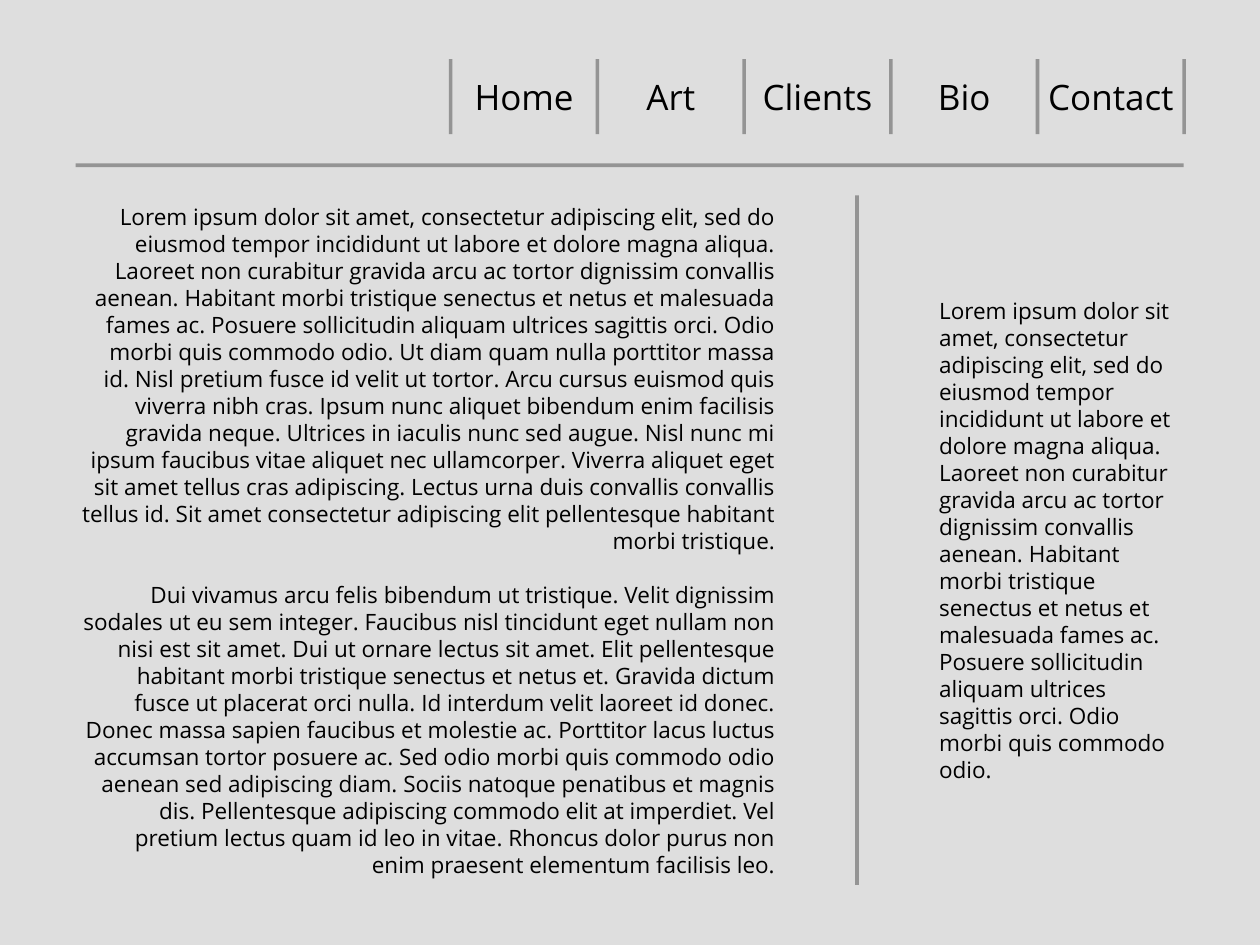
from dataclasses import dataclass

from pptx import Presentation
from pptx.dml.color import RGBColor
from pptx.enum.shapes import MSO_SHAPE
from pptx.enum.text import MSO_ANCHOR, PP_ALIGN
from pptx.util import Pt

RECTANGLE = MSO_SHAPE.RECTANGLE
MIDDLE = MSO_ANCHOR.MIDDLE
LEFT, CENTER, RIGHT = PP_ALIGN.LEFT, PP_ALIGN.CENTER, PP_ALIGN.RIGHT


@dataclass(frozen=True)
class Theme:
    background: RGBColor = RGBColor(0xDE, 0xDE, 0xDE)
    rule: RGBColor = RGBColor(0x94, 0x94, 0x94)
    text: RGBColor = RGBColor(0, 0, 0)
    font: str = "Open Sans"
    menu_size: float = 28
    body_size: float = 18
    body_leading: float = 21.6


theme = Theme()

OPENING = (
    "Lorem ipsum dolor sit amet, consectetur adipiscing elit, sed do eiusmod tempor "
    "incididunt ut labore et dolore magna aliqua. Laoreet non curabitur gravida arcu ac "
    "tortor dignissim convallis aenean. Habitant morbi tristique senectus et netus et "
    "malesuada fames ac. Posuere sollicitudin aliquam ultrices sagittis orci. "
    "Odio morbi quis commodo odio."
)
CONTINUATION = (
    " Ut diam quam nulla porttitor massa id. Nisl pretium fusce id velit ut tortor. Arcu "
    "cursus euismod quis viverra nibh cras. Ipsum nunc aliquet bibendum enim facilisis "
    "gravida neque. Ultrices in iaculis nunc sed augue. Nisl nunc mi ipsum faucibus vitae "
    "aliquet nec ullamcorper. Viverra aliquet eget sit amet tellus cras adipiscing. Lectus "
    "urna duis convallis convallis tellus id. Sit amet consectetur adipiscing elit "
    "pellentesque habitant morbi tristique."
)
SECOND_PARAGRAPH = (
    "Dui vivamus arcu felis bibendum ut tristique. Velit dignissim sodales ut eu sem "
    "integer. Faucibus nisl tincidunt eget nullam non nisi est sit amet. Dui ut ornare "
    "lectus sit amet. Elit pellentesque habitant morbi tristique senectus et netus et. "
    "Gravida dictum fusce ut placerat orci nulla. Id interdum velit laoreet id donec. Donec "
    "massa sapien faucibus et molestie ac. Porttitor lacus luctus accumsan tortor posuere "
    "ac. Sed odio morbi quis commodo odio aenean sed adipiscing diam. Sociis natoque "
    "penatibus et magnis dis. Pellentesque adipiscing commodo elit at imperdiet. Vel pretium "
    "lectus quam id leo in vitae. Rhoncus dolor purus non enim praesent elementum facilisis "
    "leo."
)

presentation = Presentation()
presentation.slide_width, presentation.slide_height = Pt(1008), Pt(756)
slide = presentation.slides.add_slide(presentation.slide_layouts[6])


def add_bar(left, top, width, height, color=theme.rule):
    shape = slide.shapes.add_shape(RECTANGLE, Pt(left), Pt(top), Pt(width), Pt(height))
    shape.shadow.inherit = False
    shape.fill.solid()
    shape.fill.fore_color.rgb = color
    shape.line.fill.background()


def add_text(*texts, left, top, width, height, size, align=LEFT, leading=None):
    box = slide.shapes.add_textbox(Pt(left), Pt(top), Pt(width), Pt(height))
    frame = box.text_frame
    frame.word_wrap = True
    frame.vertical_anchor = MIDDLE
    for index, text in enumerate(texts):
        paragraph = frame.add_paragraph() if index else frame.paragraphs[0]
        paragraph.alignment = align
        if leading:
            paragraph.line_spacing = Pt(leading)
            paragraph.space_before = Pt(leading if index else 0)
        run = paragraph.add_run()
        run.text = text
        run.font.name = theme.font
        run.font.size = Pt(size)
        run.font.color.rgb = theme.text


# Background and header rule
add_bar(0, 0, 1008, 756, theme.background)
RULE = 2.88
add_bar(60.6, 130.8, 886.4, RULE)

# Menu: equal cells with a divider on every edge
MENU = ["Home", "Art", "Clients", "Bio", "Contact"]
MENU_LEFT, MENU_TOP, CELL_WIDTH, CELL_HEIGHT = 360.6, 47.4, 117.36, 60
for index, label in enumerate(MENU):
    add_text(label, left=MENU_LEFT + index * CELL_WIDTH, top=MENU_TOP,
             width=CELL_WIDTH, height=CELL_HEIGHT, size=theme.menu_size, align=CENTER)
for index in range(len(MENU) + 1):
    add_bar(MENU_LEFT + index * CELL_WIDTH - RULE / 2, MENU_TOP, RULE, CELL_HEIGHT)

# Main column, divider and side column
COLUMN_TOP, COLUMN_HEIGHT = 156.4, 551.5
column = dict(top=COLUMN_TOP, height=COLUMN_HEIGHT, size=theme.body_size,
              leading=theme.body_leading)
add_text(OPENING + CONTINUATION, SECOND_PARAGRAPH, left=56.9, width=570.2,
         align=RIGHT, **column)
add_bar(684.2, COLUMN_TOP, RULE, COLUMN_HEIGHT)
add_text(OPENING, left=744.2, width=203, **column)

presentation.save("out.pptx")
